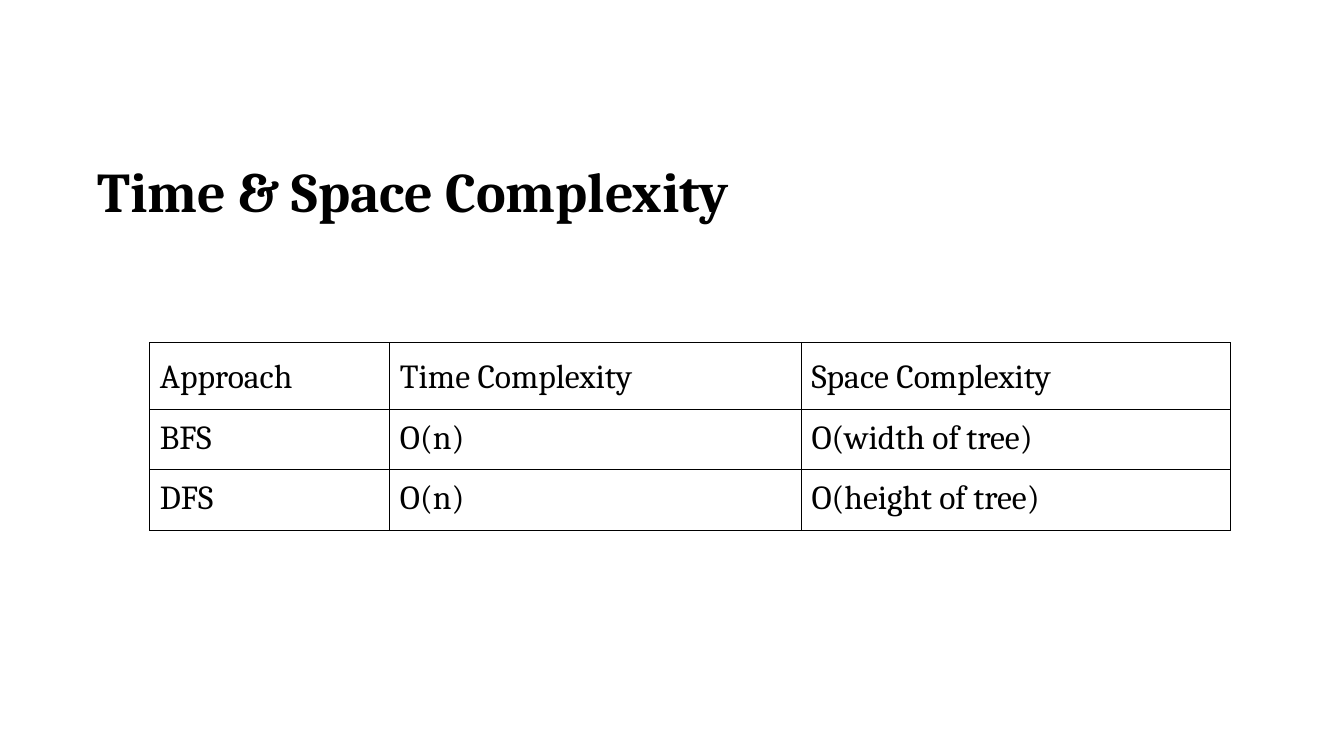
"""Build a slide comparing the time and space complexity of BFS and DFS."""
import pptx
import pptx.dml.color
import pptx.enum.text
import pptx.oxml
import pptx.oxml.ns
import pptx.util

Pt = pptx.util.Pt


def color(value):
    return pptx.dml.color.RGBColor.from_string(value)


class ComplexitySlide:
    font_name = "Cambria"
    ink = "000000"
    paper = "FFFFFF"
    border_width = 0.75
    cell_margin = 7.2

    def __init__(self, presentation):
        self.slide = presentation.slides.add_slide(presentation.slide_layouts[6])

    def set_text(self, frame, text, size, bold=False, spacing=1.0):
        paragraph = frame.paragraphs[0]
        paragraph.text = text
        paragraph.line_spacing = spacing
        paragraph.font.name = self.font_name
        paragraph.font.size = Pt(size)
        paragraph.font.bold = bold
        paragraph.font.color.rgb = color(self.ink)

    def title(self, text, left, top, width, height):
        frame = self.slide.shapes.add_textbox(
            Pt(left), Pt(top), Pt(width), Pt(height)).text_frame
        frame.word_wrap = True
        frame.vertical_anchor = pptx.enum.text.MSO_ANCHOR.MIDDLE
        frame.margin_left = frame.margin_right = Pt(3.6)
        frame.margin_top = frame.margin_bottom = Pt(3.6)
        self.set_text(frame, text, 40, bold=True, spacing=0.9)

    def border(self, cell):
        properties = cell._tc.get_or_add_tcPr()
        for position, side in enumerate(("lnL", "lnR", "lnT", "lnB")):
            properties.insert(position, pptx.oxml.parse_xml(
                f'<a:{side} {pptx.oxml.ns.nsdecls("a")} w="{Pt(self.border_width)}">'
                f'<a:solidFill><a:srgbClr val="{self.ink}"/></a:solidFill></a:{side}>'))

    def table(self, rows, left, top, widths, heights):
        table = self.slide.shapes.add_table(
            len(rows), len(widths), Pt(left), Pt(top),
            Pt(sum(widths)), Pt(sum(heights))).table
        table.first_row = table.horz_banding = False
        for column, width in zip(table.columns, widths):
            column.width = Pt(width)
        for row_index, (entries, height) in enumerate(zip(rows, heights)):
            table.rows[row_index].height = Pt(height)
            for column_index, entry in enumerate(entries):
                cell = table.cell(row_index, column_index)
                cell.margin_left = cell.margin_right = Pt(self.cell_margin)
                cell.margin_top = cell.margin_bottom = Pt(self.cell_margin)
                cell.fill.solid()
                cell.fill.fore_color.rgb = color(self.paper)
                self.border(cell)
                self.set_text(cell.text_frame, entry, 24,
                              spacing=1.15 if row_index == 0 else 1.0)


def main():
    presentation = pptx.Presentation()
    presentation.slide_width = Pt(960)
    presentation.slide_height = Pt(540)
    page = ComplexitySlide(presentation)
    page.title("Time & Space Complexity", 66, 86.4, 828, 104.4)
    page.table(
        [("Approach", "Time Complexity", "Space Complexity"),
         ("BFS", "O(n)", "O(width of tree)"),
         ("DFS", "O(n)", "O(height of tree)")],
        107, 244.6, (171.5, 294, 306.5), (46.4, 42, 42))
    presentation.save("out.pptx")


if __name__ == "__main__":
    main()
